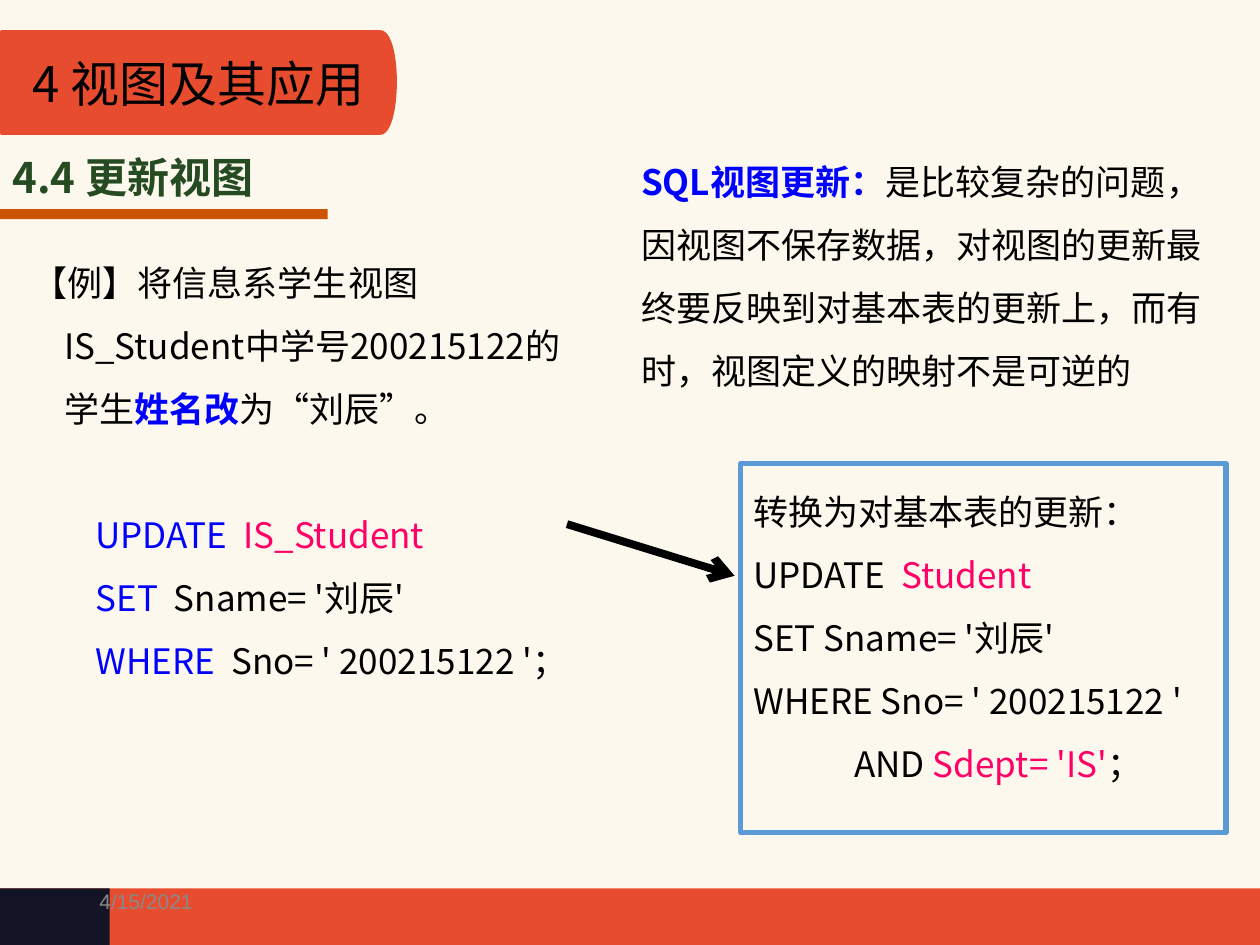
"""Build the slide on updating views through SQL."""
from pptx import Presentation
from pptx.dml.color import RGBColor
from pptx.enum.shapes import MSO_CONNECTOR as Connector, MSO_SHAPE as Shape
from pptx.enum.text import MSO_ANCHOR as Anchor, PP_ALIGN as Align
from pptx.oxml.ns import qn
from pptx.util import Inches, Pt
from lxml.etree import SubElement

CJK = "Noto Sans CJK SC"
BLACK, BLUE, PINK, RED = "000000", "0000FF", "FF0066", "E74C2E"


def color(hex_value):
    return RGBColor.from_string(hex_value)


def write(shape, lines, size, font=CJK, spacing=1.0, anchor=Anchor.TOP, align=Align.LEFT):
    frame = shape.text_frame
    frame.word_wrap = True
    frame.vertical_anchor = anchor
    for number, (left, first, before, runs) in enumerate(lines):
        paragraph = frame.paragraphs[0] if number == 0 else frame.add_paragraph()
        paragraph.alignment = align
        paragraph.line_spacing = spacing
        paragraph.space_before = Pt(before)
        properties = paragraph._p.get_or_add_pPr()
        properties.set("marL", str(Inches(left)))
        properties.set("indent", str(Inches(first)))
        paragraph.font.size = Pt(size)
        paragraph.font.name = font
        for text, hex_value, bold in runs:
            run = paragraph.add_run()
            run.text = text
            run.font.size = Pt(size)
            run.font.name = font
            run.font.bold = bold
            run.font.color.rgb = color(hex_value)
            SubElement(run._r.get_or_add_rPr(), qn("a:ea"), typeface=font)


prs = Presentation()
prs.slide_width, prs.slide_height = Inches(10), Inches(7.5)
slide = prs.slides.add_slide(prs.slide_layouts[6])
shapes = slide.shapes
slide.background.fill.solid()
slide.background.fill.fore_color.rgb = color("FCF8ED")

for left, top, width, height, fill in [
    (0, 7.05, 10, 0.45, RED),
    (0, 7.05, 0.87, 0.45, "131426"),
    (0, 1.66, 2.6, 0.08, "CC5300"),
]:
    bar = shapes.add_shape(Shape.RECTANGLE, Inches(left), Inches(top), Inches(width), Inches(height))
    bar.shadow.inherit = False
    bar.fill.solid()
    bar.fill.fore_color.rgb = color(fill)
    bar.line.fill.background()

date = shapes.add_textbox(Inches(0.69), Inches(6.95), Inches(2.25), Inches(0.4))
write(date, [(0, 0, 0, [("4/15/2021", "898989", False)])], 12, "Arial", anchor=Anchor.MIDDLE)

curves = [
    ((3.02, 0.24), (3.1, 0.24), (3.15, 0.42), (3.15, 0.65)),
    ((3.15, 0.65), (3.15, 0.88), (3.1, 1.07), (3.02, 1.07)),
]
outline = [(3.02, 0.24)]
for curve in curves:
    for step in range(1, 13):
        t = step / 12
        weights = ((1 - t) ** 3, 3 * t * (1 - t) ** 2, 3 * t**2 * (1 - t), t**3)
        outline.append(tuple(sum(w * point[axis] for w, point in zip(weights, curve)) for axis in (0, 1)))
outline += [(0.01, 1.07), (0, 1.06), (0, 0.25)]
builder = shapes.build_freeform(Inches(0.01), Inches(0.24), scale=1.0)
builder.add_line_segments([(Inches(x), Inches(y)) for x, y in outline], close=True)
chapter = builder.convert_to_shape()
chapter.shadow.inherit = False
chapter.fill.solid()
chapter.fill.fore_color.rgb = color(RED)
chapter.line.fill.background()
write(chapter, [(0, 0, 0, [("4 视图及其应用", BLACK, False)])], 28, anchor=Anchor.MIDDLE, align=Align.CENTER)

section = shapes.add_textbox(Inches(0), Inches(1.15), Inches(3.78), Inches(0.51))
write(section, [(0, 0, 0, [("4.4 更新视图", "264B22", True)])], 24)

example = shapes.add_textbox(Inches(0.16), Inches(1.86), Inches(4.59), Inches(3.6))
write(example, [
    (0.25, -0.25, 0, [
        ("【例】将信息系学生视图IS_Student中学号200215122的学生", BLACK, False),
        ("姓名改", BLUE, True),
        ("为“刘辰”。", BLACK, False),
    ]),
    (0.75, -0.25, 36, [("UPDATE  ", BLUE, False), ("IS_Student", PINK, False)]),
    (0.75, -0.25, 0, [("SET  ", BLUE, False), ("Sname= '刘辰'", BLACK, False)]),
    (0.75, -0.25, 0, [("WHERE  ", BLUE, False), ("Sno= ' 200215122 '；", BLACK, False)]),
], 20, spacing=1.5)

base_update = shapes.add_shape(Shape.RECTANGLE, Inches(5.88), Inches(3.68), Inches(3.85), Inches(2.93))
base_update.shadow.inherit = False
base_update.fill.background()
base_update.line.color.rgb = color("5B9BD5")
base_update.line.width = Pt(3)
write(base_update, [
    (0.25, -0.25, 0, [("转换为对基本表的更新：", BLACK, False)]),
    (0.25, -0.25, 0, [("UPDATE  ", BLACK, False), ("Student", PINK, False)]),
    (0.25, -0.25, 0, [("SET Sname= '刘辰'", BLACK, False)]),
    (0.25, -0.25, 0, [("WHERE Sno= ' 200215122 '", BLACK, False)]),
    (0.8, 0, 0, [("AND ", BLACK, False), ("Sdept= 'IS'", PINK, False), ("；", BLACK, False)]),
], 20, spacing=1.5)

conversion = shapes.add_connector(Connector.STRAIGHT, Inches(4.5), Inches(4.16), Inches(5.83), Inches(4.57))
conversion.line.color.rgb = color(BLACK)
conversion.line.width = Pt(4.5)
SubElement(conversion.line._get_or_add_ln(), qn("a:tailEnd"), type="arrow")
SubElement(conversion._element.spPr, qn("a:effectLst"))

remark = shapes.add_textbox(Inches(4.99), Inches(1.06), Inches(4.76), Inches(2.12))
write(remark, [(0, 0, 0, [
    ("SQL视图更新：", BLUE, True),
    ("是比较复杂的问题，因视图不保存数据，对视图的更新最终要反映到对基本表的更新上，而有时，视图定义的映射不是可逆的", BLACK, False),
])], 20, spacing=1.5)

prs.save("out.pptx")
